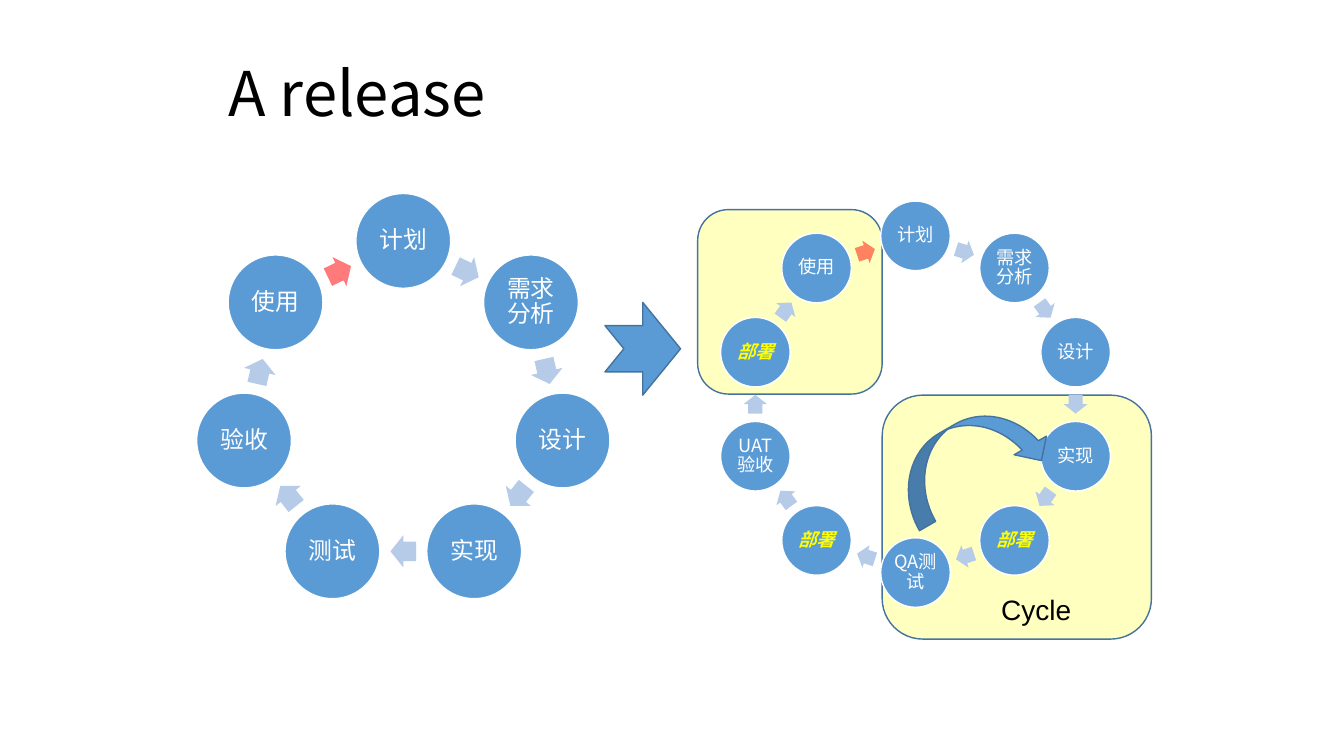
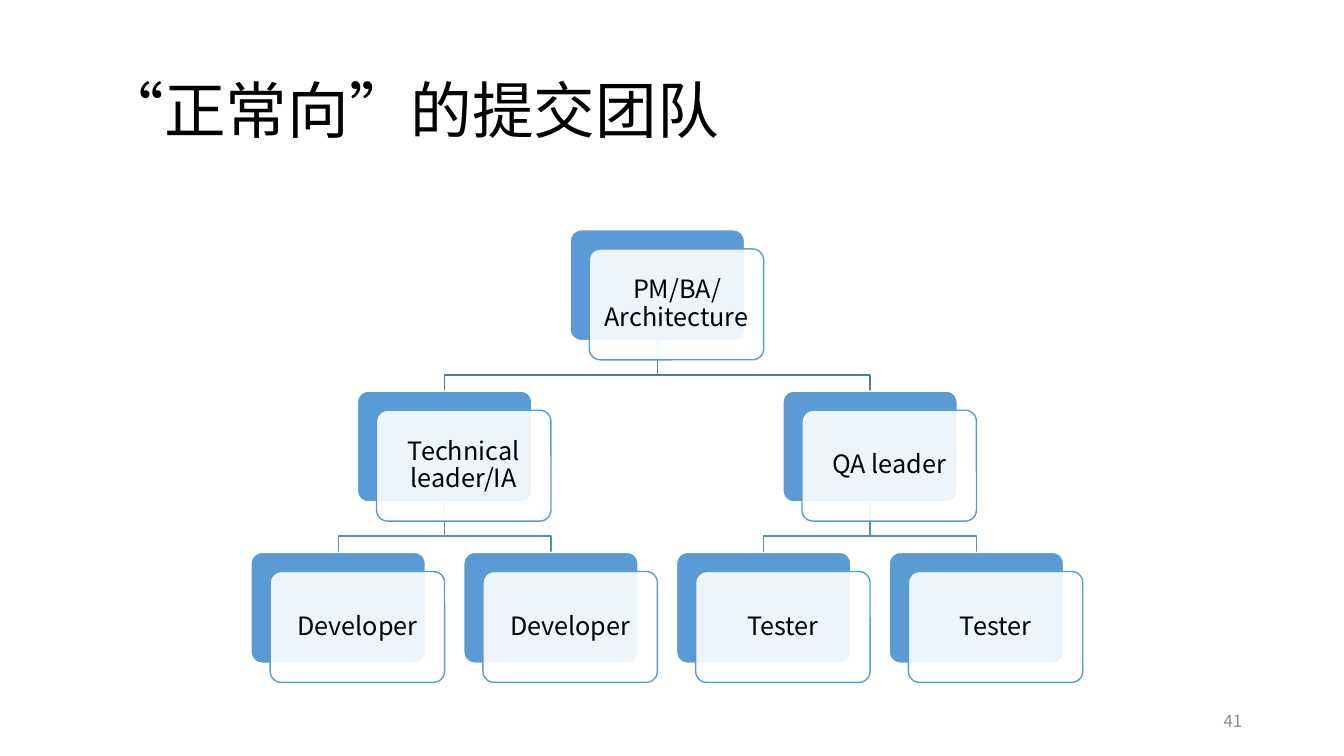
"""Build two slides: a release cycle and a delivery team tree."""
from math import cos, radians, sin

from lxml import etree
from pptx import Presentation, util as u
from pptx.dml.color import RGBColor
from pptx.enum import shapes, text as t
from pptx.oxml.ns import qn

KIND = shapes.MSO_SHAPE
CENTER = t.PP_ALIGN.CENTER


def color(code):
    return RGBColor.from_string(code)


def write(shape, words, size=18, ink="000000", font="Noto Sans CJK SC",
          align=t.PP_ALIGN.LEFT, anchor=t.MSO_ANCHOR.MIDDLE, pad=None,
          space=0.9, strong=False):
    frame = shape.text_frame
    frame.word_wrap = True
    frame.vertical_anchor = anchor
    if pad is not None:
        frame.margin_left = frame.margin_right = u.Inches(pad)
        frame.margin_top = frame.margin_bottom = u.Inches(pad)
    para = frame.paragraphs[0]
    para.alignment = align
    para.line_spacing = space
    run = para.add_run()
    run.text = words
    face = run.font
    face.name = font
    face.size = u.Pt(size)
    face.bold = face.italic = strong
    face.color.rgb = color(ink)
    etree.SubElement(run._r.rPr, qn("a:ea"), typeface=font)


class Deck:
    blue = "5B9BD5"
    pale = "B5CBE7"
    edge = "43739E"
    white = "FFFFFF"
    yellow = "FFFF00"
    red = "FF0000"

    def __init__(self):
        self.file = Presentation()
        self.file.slide_width = u.Inches(13.33)
        self.file.slide_height = u.Inches(7.5)
        self.slide = None

    def page(self, title, *box):
        self.slide = self.file.slides.add_slide(self.file.slide_layouts[6])
        self.label(title, *box, size=44)

    def label(self, words, *box, **style):
        area = self.slide.shapes.add_textbox(*map(u.Inches, box))
        write(area, words, **style)

    def shape(self, kind, *box, fill=blue, line=edge, alpha=100, turn=0, adj=()):
        item = self.slide.shapes.add_shape(kind, *map(u.Inches, box))
        item.shadow.inherit = False
        item.rotation = turn
        for i, value in enumerate(adj):
            item.adjustments[i] = value
        item.fill.solid()
        item.fill.fore_color.rgb = color(fill)
        if alpha < 100:
            tint = item._element.spPr.find(qn("a:solidFill"))[0]
            etree.SubElement(tint, qn("a:alpha"), val=str(alpha * 1000))
        if line:
            item.line.color.rgb = color(line)
            item.line.width = u.Pt(1)
        else:
            item.line.fill.background()
        return item

    def ring(self, steps, x, y, radius, size, font, alpha):
        turn = 360 / len(steps)
        wide, high = size * 0.27, size * 0.34
        mid = radius * cos(radians(turn / 2))
        for i, step in enumerate(steps):
            angle = radians(i * turn)
            disc = self.shape(KIND.OVAL, x + radius * sin(angle) - size / 2,
                              y - radius * cos(angle) - size / 2, size, size,
                              line=self.white)
            deploy = step == "部署"
            write(disc, step, size=font, align=CENTER, pad=0.02, strong=deploy,
                  ink=self.yellow if deploy else self.white)
            last = i == len(steps) - 1
            way = (i + 0.5) * turn
            self.shape(KIND.RIGHT_ARROW, x + mid * sin(radians(way)) - wide / 2,
                       y - mid * cos(radians(way)) - high / 2, wide, high,
                       fill=self.red if last else self.pale, line=None,
                       alpha=alpha if last else 100, turn=way, adj=(0.6, 0.5))

    def elbow(self, points, ink):
        spots = [(u.Inches(x), u.Inches(y)) for x, y in points]
        draft = self.slide.shapes.build_freeform(*spots[0])
        draft.add_line_segments(spots[1:], close=False)
        line = draft.convert_to_shape()
        line.shadow.inherit = False
        line.fill.background()
        line.line.color.rgb = color(ink)
        line.line.width = u.Pt(1)

    def card(self, words, x, y, wide, high, shift):
        self.shape(KIND.ROUNDED_RECTANGLE, x, y, wide, high,
                   line=self.white, adj=(0.1,))
        front = self.shape(KIND.ROUNDED_RECTANGLE, x + shift, y + shift, wide,
                           high, fill=self.white, line=self.blue, alpha=90,
                           adj=(0.1,))
        write(front, words, align=CENTER, pad=0.07)

    def tree(self, nodes, links):
        wide, high, gap = 1.73, 1.1, 0.5

        def place(name):
            _, col, row = nodes[name]
            return 2.49 + 2.11 * col, 2.28 + (high + gap) * row

        for top, low in links:
            (x, y), (end, foot) = place(top), place(low)
            x, y, end = x + wide / 2, y + high, end + wide / 2
            bend = y + 0.34
            self.elbow([(x, y), (x, bend), (end, bend), (end, foot)],
                       "497CAB" if top == "root" else "538DC1")
        for name, node in nodes.items():
            self.card(node[0], *place(name), wide, high, 0.19)


def cycle(deck):
    deck.page("A release", 2.17, 0.33, 9, 1.25)
    for box in ((6.92, 2.08, 1.83, 1.83), (8.75, 3.92, 2.67, 2.42)):
        deck.shape(KIND.ROUNDED_RECTANGLE, *box, fill=deck.yellow, alpha=25)
    deck.ring(["计划", "需求分析", "设计", "实现", "测试", "验收", "使用"],
              4, 4.01, 1.62, 0.94, 17, 52)
    deck.ring(["计划", "需求分析", "设计", "实现", "部署", "QA测试", "部署",
               "UAT验收", "部署", "使用"], 9.08, 4.01, 1.67, 0.69, 13, 49)
    deck.shape(KIND.CURVED_DOWN_ARROW, 8.83, 4.18, 1.58, 0.74, turn=330.1)
    deck.label("Cycle", 9.83, 5.83, 1.25, 0.44, size=20, font="Arial",
               anchor=t.MSO_ANCHOR.TOP, space=1)
    deck.shape(KIND.NOTCHED_RIGHT_ARROW, 6, 3, 0.75, 0.92)


def team(deck):
    deck.page("“正常向”的提交团队", 0.92, 0.4, 11.5, 1.45)
    nodes = {
        "root": ("PM/BA/Architecture", 1.5, 0),
        "tech": ("Technical leader/IA", 0.5, 1),
        "dev1": ("Developer", 0, 2),
        "dev2": ("Developer", 1, 2),
        "lead": ("QA leader", 2.5, 1),
        "test1": ("Tester", 2, 2),
        "test2": ("Tester", 3, 2),
    }
    links = [("lead", "test2"), ("lead", "test1"), ("root", "lead"),
             ("tech", "dev2"), ("tech", "dev1"), ("root", "tech")]
    deck.tree(nodes, links)
    deck.label("41", 9.42, 6.95, 3, 0.4, size=12, ink="8C8C8C",
               align=t.PP_ALIGN.RIGHT, space=1)


def main():
    deck = Deck()
    cycle(deck)
    team(deck)
    deck.file.save("out.pptx")


if __name__ == "__main__":
    main()
